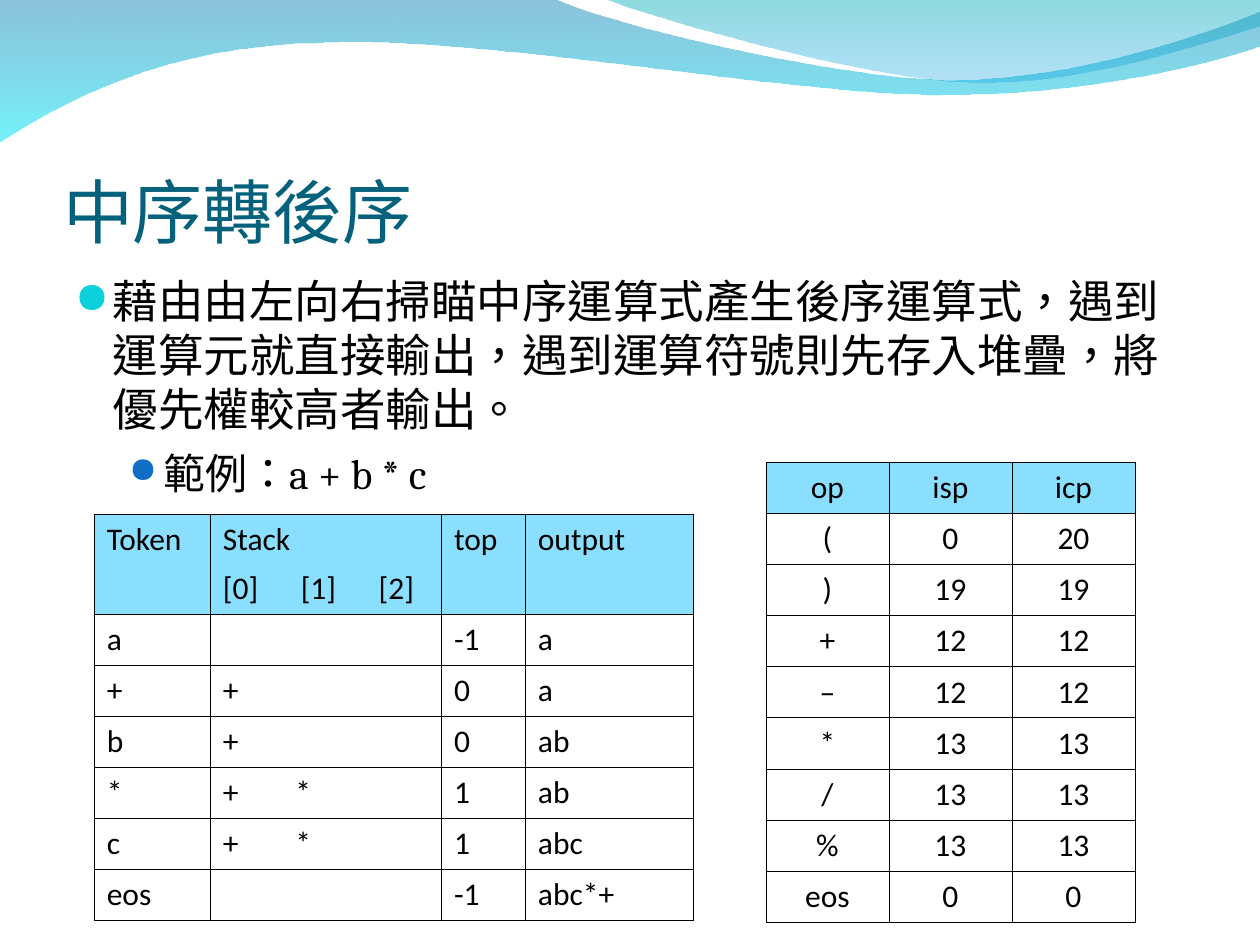
from dataclasses import dataclass

from lxml.etree import SubElement
from pptx import Presentation
from pptx.dml.color import RGBColor
from pptx.enum.text import MSO_ANCHOR, PP_ALIGN
from pptx.oxml.ns import qn
from pptx.util import Cm, Pt

COLORS = {
    "title": "04617B",
    "text": "000000",
    "border": "000000",
    "header": "8ADFFF",
    "bullet_main": "0BD0D9",
    "bullet_sub": "0F6FC6",
}
CJK, SERIF, SANS, SYMBOL = "Noto Sans CJK SC", "Cambria", "Calibri", "OpenSymbol"


@dataclass
class Wave:
    start: tuple[float, float]
    segments: list[tuple]  # one point is a line, three points are a Bézier curve
    stops: list[tuple[str, int]]  # colour and opacity in percent


@dataclass
class Grid:
    left: float
    top: float
    widths: list[float]
    heights: list[float]
    rows: list[list[str]]
    align: PP_ALIGN
    header_tabs: tuple[float, ...] = ()
    body_tabs: tuple[float, ...] = ()


@dataclass
class Bullet:
    runs: list[tuple[str, str]]  # text and font
    size: int
    margin: float
    hanging: float
    color: str
    scale: int
    before: float
    line: float


WAVES = [
    Wave((0, -0.03), [
        ((11.18, -0.03),),
        ((12.09, 0.43), (16.87, 1.6), (19.25, 1.6)),
        ((21.67, 1.6), (24.33, 0.66), (25.4, 0.23)),
        ((25.43, 0.91),),
        ((24.97, 1.12), (22.1, 1.93), (18.95, 1.91)),
        ((15.8, 1.91), (9.7, 0.71), (6.53, 0.86)),
        ((3.28, 0.89), (1.17, 2.11), (-0.03, 2.87)),
    ], [("0079AF", 45), ("00EBF8", 55)]),
    Wave((12.17, -0.03), [
        ((12.93, 0.28), (17.32, 1.57), (19.53, 1.65)),
        ((21.74, 1.75), (24.41, 0.81), (25.4, 0.53)),
        ((25.4, 0),),
    ], [("00ADB6", 45), ("009BE5", 30)]),
]

BULLETS = [
    Bullet([("藉由由左向右掃瞄中序運算式產生後序運算式，遇到運算元就直接輸出，"
             "遇到運算符號則先存入堆疊，將優先權較高者輸出。", CJK)],
           26, 0.76, 0.76, "bullet_main", 95, 6.5, 31),
    Bullet([("範例：", CJK), ("a + b * c", SERIF)],
           24, 1.78, 0.69, "bullet_sub", 85, 6, 29.3),
]

TRACE = Grid(1.9, 10.36, [2.34, 4.66, 1.69, 3.39], [2.02] + [1.03] * 6, [
    ["Token", "Stack\n[0]\t[1]\t[2]", "top", "output"],
    ["a", "", "-1", "a"],
    ["+", "+", "0", "a"],
    ["b", "+", "0", "ab"],
    ["*", "+\t*", "1", "ab"],
    ["c", "+\t*", "1", "abc"],
    ["eos", "", "-1", "abc*+"],
], PP_ALIGN.LEFT, (1.57, 3.14), (1.46,))

PRIORITY = Grid(15.44, 9.32, [2.48] * 3, [1.03] * 9, [
    ["op", "isp", "icp"],
    ["(", "0", "20"],
    [")", "19", "19"],
    ["+", "12", "12"],
    ["–", "12", "12"],
    ["*", "13", "13"],
    ["/", "13", "13"],
    ["%", "13", "13"],
    ["eos", "0", "0"],
], PP_ALIGN.CENTER)


def format_run(run, font: str, size: int, color: str) -> None:
    run.font.name, run.font.size, run.font.bold = font, Pt(size), False
    run.font.color.rgb = RGBColor.from_string(COLORS[color])
    run.font._element.set("lang", "zh-TW" if font == CJK else "en-US")
    SubElement(run.font._element, qn("a:ea"), typeface=CJK)


def bend_segments(shape, segments: list[tuple]) -> None:
    """Turn each run of three control points into one Bézier curve."""
    lines = iter(list(shape._element.spPr.iter(qn("a:lnTo"))))
    for segment in segments:
        corners = [next(lines) for _ in segment]
        if len(corners) == 3:
            outline = corners[0].getparent()
            curve = SubElement(outline, qn("a:cubicBezTo"))
            outline.insert(outline.index(corners[0]), curve)
            for corner in corners:
                curve.append(corner[0])
                outline.remove(corner)


def draw_wave(slide, wave: Wave) -> None:
    points = [(Cm(x), Cm(y)) for segment in wave.segments for x, y in segment]
    builder = slide.shapes.build_freeform(Cm(wave.start[0]), Cm(wave.start[1]))
    builder.add_line_segments(points, close=True)
    shape = builder.convert_to_shape()
    bend_segments(shape, wave.segments)
    shape.shadow.inherit = False
    shape.line.fill.background()
    shape.fill.gradient()
    shape.fill.gradient_angle = 270
    for stop, (color, _) in zip(shape.fill.gradient_stops, wave.stops):
        stop.color.rgb = RGBColor.from_string(color)
    # Opacity of each gradient stop
    fill_colors = list(shape._element.spPr.iter(qn("a:srgbClr")))
    for element, (_, opacity) in zip(fill_colors, wave.stops):
        SubElement(element, qn("a:alpha"), val=str(opacity * 1000))


def draw_title(slide, text: str) -> None:
    title = slide.shapes.title
    title.left, title.top, title.width, title.height = Cm(1.27), Cm(1.91), Cm(22.86), Cm(3.18)
    frame = title.text_frame
    frame.text = text
    frame.vertical_anchor = MSO_ANCHOR.BOTTOM
    frame.margin_left = frame.margin_right = frame.margin_bottom = 0
    frame.paragraphs[0].alignment = PP_ALIGN.LEFT
    format_run(frame.paragraphs[0].runs[0], CJK, 40, "title")


def draw_bullets(slide, bullets: list[Bullet]) -> None:
    frame = slide.shapes.add_textbox(Cm(1.26), Cm(5.38), Cm(22.86), Cm(12.19)).text_frame
    frame.word_wrap = True
    for level, bullet in enumerate(bullets):
        paragraph = frame.add_paragraph() if level else frame.paragraphs[0]
        paragraph.level = level
        paragraph.space_before, paragraph.line_spacing = Pt(bullet.before), Pt(bullet.line)
        for text, font in bullet.runs:
            run = paragraph.add_run()
            run.text = text
            format_run(run, font, bullet.size, "text")
        properties = paragraph._p.get_or_add_pPr()
        properties.set("marL", str(Cm(bullet.margin)))
        properties.set("indent", str(-Cm(bullet.hanging)))
        bullet_color = SubElement(properties, qn("a:buClr"))
        SubElement(bullet_color, qn("a:srgbClr"), val=COLORS[bullet.color])
        SubElement(properties, qn("a:buSzPct"), val=str(bullet.scale * 1000))
        SubElement(properties, qn("a:buFont"), typeface=SYMBOL)
        SubElement(properties, qn("a:buChar"), char="●")


def add_borders(cell) -> None:
    properties = cell._tc.get_or_add_tcPr()
    for index, side in enumerate(("lnL", "lnR", "lnT", "lnB")):
        line = SubElement(properties, qn(f"a:{side}"), w=str(Pt(0.45)))
        SubElement(SubElement(line, qn("a:solidFill")), qn("a:srgbClr"), val=COLORS["border"])
        properties.insert(index, line)


def fill_cell(cell, text: str, grid: Grid, is_header: bool) -> None:
    cell.text_frame.text = text
    for paragraph in cell.text_frame.paragraphs:
        paragraph.alignment, paragraph.space_before = grid.align, Pt(6)
        for run in paragraph.runs:
            format_run(run, SANS, 18, "text")
        if "\t" in paragraph.text:
            tab_list = SubElement(paragraph._p.get_or_add_pPr(), qn("a:tabLst"))
            for position in grid.header_tabs if is_header else grid.body_tabs:
                SubElement(tab_list, qn("a:tab"), pos=str(Cm(position)), algn="l")
    if is_header:
        cell.fill.solid()
        cell.fill.fore_color.rgb = RGBColor.from_string(COLORS["header"])
    else:
        cell.fill.background()
    add_borders(cell)


def draw_grid(slide, grid: Grid) -> None:
    table = slide.shapes.add_table(
        len(grid.heights), len(grid.widths), Cm(grid.left), Cm(grid.top),
        Cm(sum(grid.widths)), Cm(sum(grid.heights))).table
    table.first_row = table.horz_banding = False
    for column, width in zip(table.columns, grid.widths):
        column.width = Cm(width)
    for r, (height, texts) in enumerate(zip(grid.heights, grid.rows)):
        table.rows[r].height = Cm(height)
        for c, text in enumerate(texts):
            fill_cell(table.cell(r, c), text, grid, r == 0)


def main() -> None:
    deck = Presentation()
    deck.slide_width, deck.slide_height = Cm(25.4), Cm(19.05)
    slide = deck.slides.add_slide(deck.slide_layouts[5])
    for wave in WAVES:
        draw_wave(slide, wave)
    draw_title(slide, "中序轉後序")
    draw_bullets(slide, BULLETS)
    for grid in (TRACE, PRIORITY):
        draw_grid(slide, grid)
    deck.save("out.pptx")


if __name__ == "__main__":
    main()
